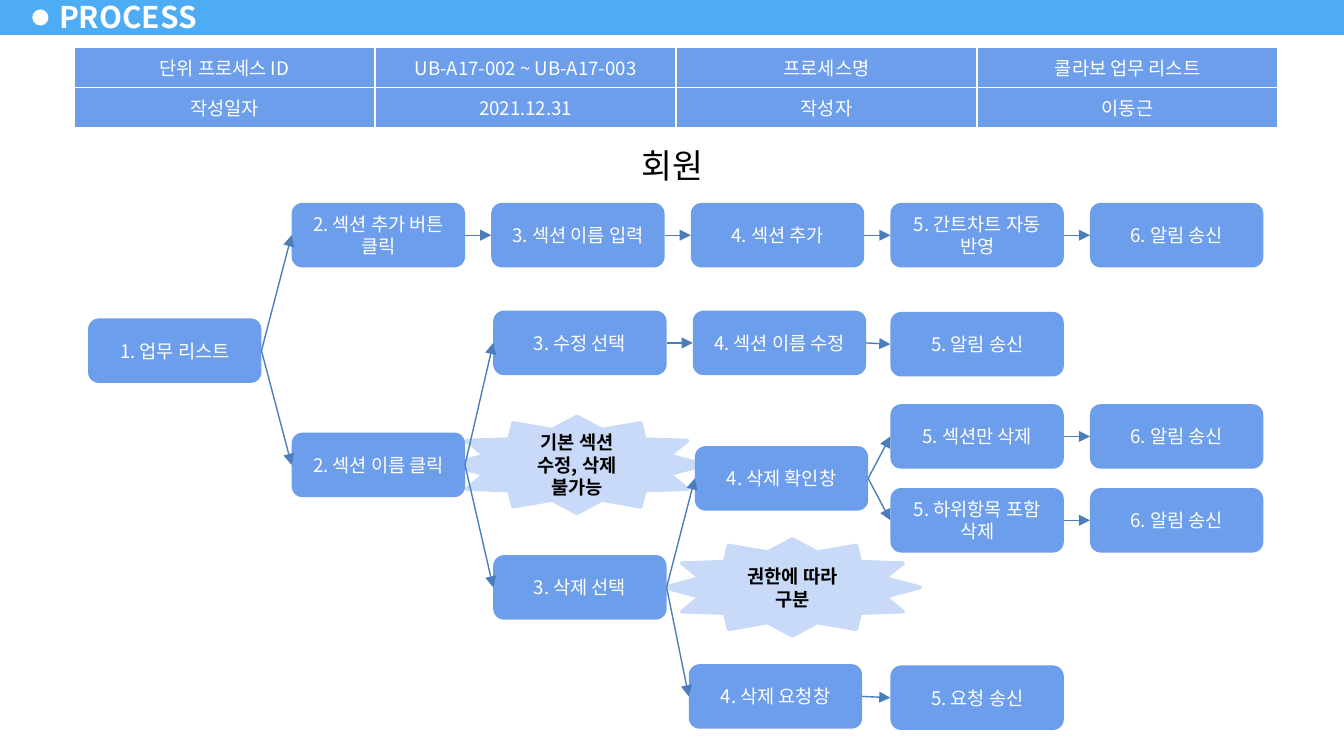
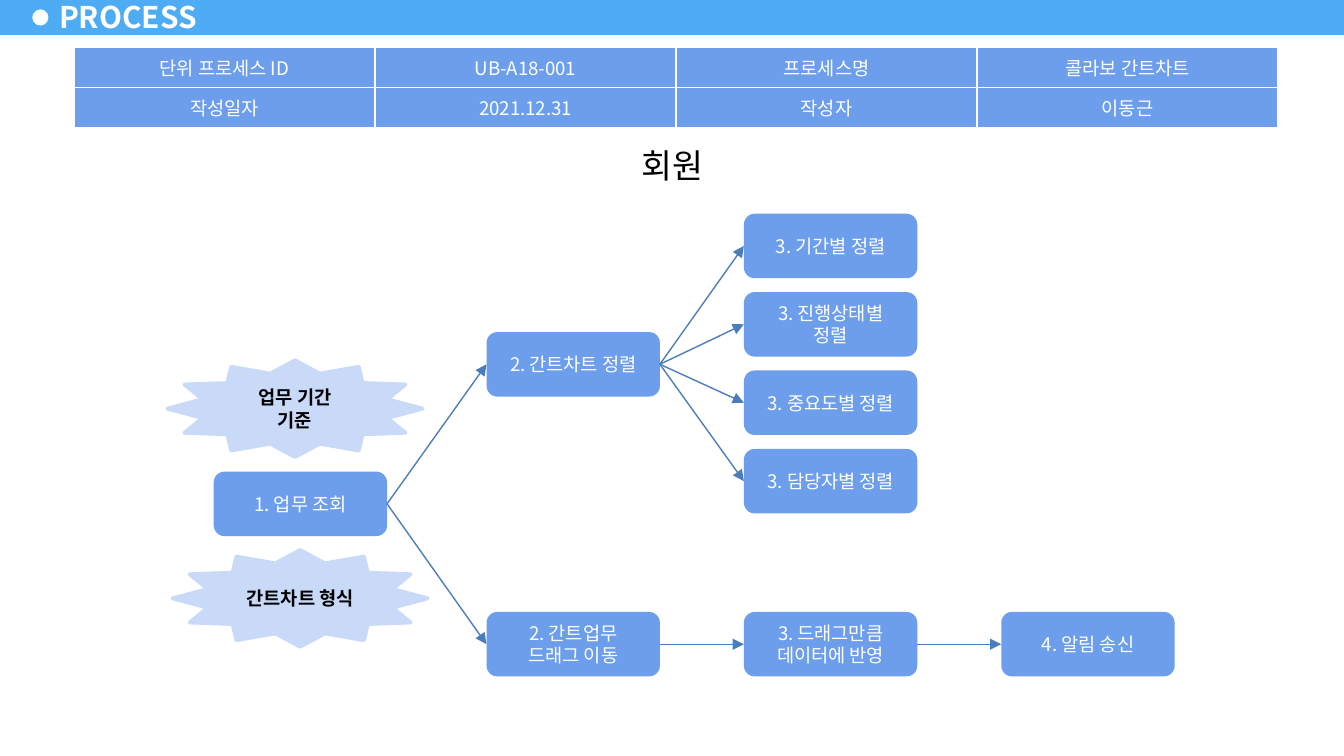
from dataclasses import dataclass

from lxml.etree import SubElement
from pptx import Presentation
from pptx.dml.color import RGBColor
from pptx.enum.shapes import MSO_CONNECTOR, MSO_SHAPE
from pptx.enum.text import MSO_ANCHOR, MSO_AUTO_SIZE, PP_ALIGN
from pptx.oxml import parse_xml
from pptx.oxml.ns import nsdecls, qn
from pptx.util import Inches, Pt


@dataclass(frozen=True)
class Theme:
    font: str = "Noto Sans CJK KR"
    band: str = "4DACF3"
    box: str = "6D9EEB"
    star: str = "C9DAF8"
    arrow: str = "4A7DBA"
    light: str = "FFFFFF"
    dark: str = "000000"
    title_size: float = 16
    heading_size: float = 18
    body_size: float = 10
    arrow_width: float = 0.75
    star_line: float = 2
    cell_border: float = 1


@dataclass(frozen=True)
class Grid:
    """Left and top of the cell (0, 0), and the steps between cells, in inches."""
    left: float
    top: float
    column_step: float
    row_step: float

    def place(self, column, row):
        return self.left + column * self.column_step, self.top + row * self.row_step


THEME = Theme()
WIDTH = 10
HEIGHT = WIDTH * 9 / 16
BOX_SIZE = (1.29, 0.48)
STAR_SIZE = (1.9, 0.72)

SECTION_FLOW = {
    "process": ("UB-A17-002 ~ UB-A17-003", "콜라보 업무 리스트"),
    "grid": Grid(2.17, 1.51, (8.11 - 2.17) / 4, 0.48),
    "stars": [("권한에 따라 구분", 1.87, 5.21), ("기본 섹션 수정, 삭제 불가능", 0.79, 3.31)],
    "boxes": {
        "list": ("1. 업무 리스트", -1.02, 1.79),
        "add": ("2. 섹션 추가 버튼 클릭", 0, 0),
        "enter": ("3. 섹션 이름 입력", 1, 0),
        "added": ("4. 섹션 추가", 2, 0),
        "chart": ("5. 간트차트 자동 반영", 3, 0),
        "add notice": ("6. 알림 송신", 4, 0),
        "name": ("2. 섹션 이름 클릭", 0, 3.56),
        "edit": ("3. 수정 선택", 1.01, 1.67),
        "rename": ("4. 섹션 이름 수정", 2.01, 1.67),
        "edit notice": ("5. 알림 송신", 3, 1.69),
        "delete": ("3. 삭제 선택", 1.01, 5.46),
        "confirm": ("4. 삭제 확인창", 2.02, 3.77),
        "section only": ("5. 섹션만 삭제", 3, 3.12),
        "section notice": ("6. 알림 송신", 4, 3.12),
        "with items": ("5. 하위항목 포함 삭제", 3, 4.42),
        "items notice": ("6. 알림 송신", 4, 4.42),
        "request": ("4. 삭제 요청창", 1.99, 7.15),
        "request sent": ("5. 요청 송신", 3, 7.17),
    },
    "chains": [
        ("list", "add", "enter", "added", "chart", "add notice"),
        ("list", "name", "edit", "rename", "edit notice"),
        ("name", "delete", "confirm", "section only", "section notice"),
        ("confirm", "with items", "items notice"),
        ("delete", "request", "request sent"),
    ],
}

GANTT_FLOW = {
    "process": ("UB-A18-001", "콜라보 간트차트"),
    "grid": Grid(3.62, 1.59, (7.45 - 3.62) / 2, (3.34 - 1.59) / 3),
    "stars": [("간트차트 형식", -1.22, 4.29), ("업무 기간 기준", -1.24, 1.87)],
    "boxes": {
        "view": ("1. 업무 조회", -1.06, 3.29),
        "sort": ("2. 간트차트 정렬", 0, 1.51),
        "period": ("3. 기간별 정렬", 1, 0),
        "status": ("3. 진행상태별 정렬", 1, 1),
        "priority": ("3. 중요도별 정렬", 1, 2),
        "owner": ("3. 담당자별 정렬", 1, 3),
        "drag": ("2. 간트업무 드래그 이동", 0, 5.08),
        "apply": ("3. 드래그만큼 데이터에 반영", 1, 5.08),
        "notice": ("4. 알림 송신", 2, 5.08),
    },
    "chains": [
        ("view", "sort", "period"),
        ("sort", "status"),
        ("sort", "priority"),
        ("sort", "owner"),
        ("view", "drag", "apply", "notice"),
    ],
}


def set_all(target, values):
    for name, value in values.items():
        setattr(target, name, value)


def inches(*lengths):
    return [Inches(length) for length in lengths]


def write(frame, text, size, color, bold=False, align=PP_ALIGN.CENTER):
    para = frame.paragraphs[0]
    para.alignment = align
    span = para.add_run()
    span.text = text
    set_all(span.font, {"name": THEME.font, "size": Pt(size), "bold": bold})
    span.font.color.rgb = RGBColor.from_string(color)
    SubElement(span.font._element, qn("a:ea"), typeface=THEME.font)


def add_figure(page, kind, area, fill, line=None):
    figure = page.shapes.add_shape(kind, *inches(*area))
    figure.shadow.inherit = False
    figure.fill.solid()
    figure.fill.fore_color.rgb = RGBColor.from_string(fill)
    if line:
        figure.line.color.rgb = RGBColor.from_string(fill)
        figure.line.width = Pt(line)
    else:
        figure.line.fill.background()
    set_all(figure.text_frame, {"word_wrap": True, "vertical_anchor": MSO_ANCHOR.MIDDLE})
    return figure


def add_box(page, grid, text, column, row):
    box = add_figure(page, MSO_SHAPE.ROUNDED_RECTANGLE,
                     (*grid.place(column, row), *BOX_SIZE), THEME.box)
    write(box.text_frame, text, THEME.body_size, THEME.light)
    return box


def add_star(page, grid, text, column, row):
    star = add_figure(page, MSO_SHAPE.STAR_12_POINT,
                      (*grid.place(column, row), *STAR_SIZE), THEME.star, THEME.star_line)
    write(star.text_frame, text, THEME.body_size, THEME.dark, bold=True)


def add_arrow(page, start, end):
    """Join the right side of one box to the left side of the next."""
    arrow = page.shapes.add_connector(MSO_CONNECTOR.STRAIGHT, 0, 0, 0, 0)
    arrow.begin_connect(start, 3)
    arrow.end_connect(end, 1)
    arrow.line.color.rgb = RGBColor.from_string(THEME.arrow)
    arrow.line.width = Pt(THEME.arrow_width)
    SubElement(arrow.line._get_or_add_ln(), qn("a:tailEnd"), type="triangle")
    SubElement(arrow.element.spPr, qn("a:effectLst"))


def add_title(page):
    title = page.shapes.title
    set_all(title, dict(zip(("left", "top", "width", "height"),
                            inches(0.35, -0.04, 1.22, 0.32))))
    side, edge = inches(0.09, 0.04)
    set_all(title.text_frame, {
        "margin_left": side, "margin_right": side, "margin_top": edge, "margin_bottom": edge,
        "vertical_anchor": MSO_ANCHOR.MIDDLE, "word_wrap": False,
        "auto_size": MSO_AUTO_SIZE.NONE})
    write(title.text_frame, "PROCESS", THEME.title_size, THEME.light, True, PP_ALIGN.LEFT)


def add_borders(cell):
    properties = cell._tc.get_or_add_tcPr()
    for index, side in enumerate(("lnL", "lnR", "lnT", "lnB")):
        properties.insert(index, parse_xml(
            f'<a:{side} {nsdecls("a")} w="{Pt(THEME.cell_border)}"><a:solidFill>'
            f'<a:srgbClr val="{THEME.light}"/></a:solidFill></a:{side}>'))


def add_process_table(page, process_id, process_name):
    rows = [("단위 프로세스 ID", process_id, "프로세스명", process_name),
            ("작성일자", "2021.12.31", "작성자", "이동근")]
    table = page.shapes.add_table(2, 4, *inches(0.55, 0.35, 8.96, 0.57)).table
    set_all(table, {"first_row": False, "horz_banding": False})
    for row, height in zip(table.rows, inches(0.29, 0.28)):
        row.height = height
    for row, texts in zip(table.rows, rows):
        for cell, text in zip(row.cells, texts):
            cell.fill.solid()
            cell.fill.fore_color.rgb = RGBColor.from_string(THEME.box)
            cell.vertical_anchor = MSO_ANCHOR.MIDDLE
            write(cell.text_frame, text, THEME.body_size, THEME.light)
            add_borders(cell)


def add_heading(page, text):
    heading = add_figure(page, MSO_SHAPE.RECTANGLE, (3.97, 1.03, 2.07, 0.41), THEME.light)
    heading.text_frame.vertical_anchor = MSO_ANCHOR.TOP
    write(heading.text_frame, text, THEME.heading_size, THEME.dark)


def share_band(page, layout):
    """Move the band and its dot to the layout, behind the title."""
    band = add_figure(page, MSO_SHAPE.RECTANGLE, (0, -0.02, WIDTH, 0.28), THEME.band)
    dot = add_figure(page, MSO_SHAPE.OVAL, (0.24, 0.07, 0.12, 0.12), THEME.light)
    for index, figure in enumerate((band, dot), start=2):
        layout.element.cSld.spTree.insert(index, figure.element)


def add_flow_page(deck, layout, flow):
    page = deck.slides.add_slide(layout)
    grid = flow["grid"]
    for star in flow["stars"]:
        add_star(page, grid, *star)
    add_title(page)
    add_process_table(page, *flow["process"])
    add_heading(page, "회원")
    boxes = {key: add_box(page, grid, *values) for key, values in flow["boxes"].items()}
    links = dict.fromkeys(pair for chain in flow["chains"] for pair in zip(chain, chain[1:]))
    for start, end in links:
        add_arrow(page, boxes[start], boxes[end])
    return page


def main():
    deck = Presentation()
    set_all(deck, {"slide_width": Inches(WIDTH), "slide_height": Inches(HEIGHT)})
    layout = deck.slide_layouts.get_by_name("Title Only")
    pages = [add_flow_page(deck, layout, flow) for flow in (SECTION_FLOW, GANTT_FLOW)]
    share_band(pages[0], layout)
    deck.save("out.pptx")


if __name__ == "__main__":
    main()
